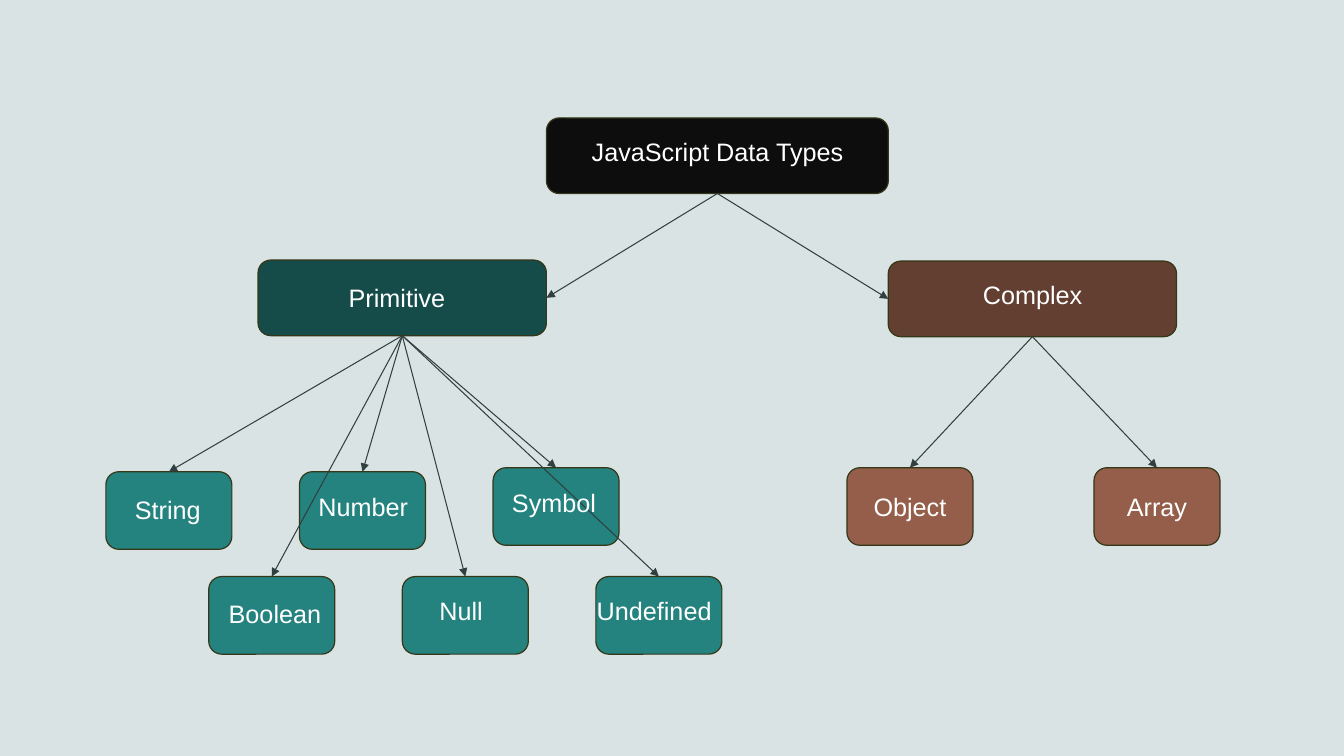
from lxml.etree import SubElement
from pptx import Presentation
from pptx.dml.color import RGBColor
from pptx.enum.shapes import MSO_CONNECTOR, MSO_SHAPE
from pptx.enum.text import MSO_ANCHOR, MSO_AUTO_SIZE, PP_ALIGN
from pptx.oxml.ns import qn
from pptx.util import Inches, Pt

TOP, LEFT, BOTTOM, RIGHT = range(4)


def set_color(color_format, hex_color):
    color_format.fore_color.rgb = RGBColor.from_string(hex_color)


def add_label(paragraph, text):
    run = paragraph.add_run()
    run.text = text
    run.font.name = "Arial"
    run.font.size = Pt(18)
    run.font.fill.solid()
    set_color(run.font.fill, "FFFFFF")


presentation = Presentation()
presentation.slide_width = Inches(13.33)
presentation.slide_height = Inches(7.5)
slide = presentation.slides.add_slide(presentation.slide_layouts[6])
slide.background.fill.solid()
set_color(slide.background.fill, "DAE3E3")

# Boxes: name, left, top, width, height, fill
boxes = [
    ("JavaScript Data Types", 5.42, 1.17, 3.39, 0.75, "0D0D0D"),
    ("Primitive", 2.56, 2.58, 2.86, 0.75, "154C4A"),
    ("Complex", 8.81, 2.59, 2.86, 0.75, "633F31"),
]
primitive_types = ["String", "Boolean", "Number", "Null", "Symbol", "Undefined"]
primitive_tops = [4.68, 5.72, 4.68, 5.72, 4.64, 5.72]
for index, (name, top) in enumerate(zip(primitive_types, primitive_tops)):
    column, row = divmod(index, 2)
    left = 1.05 + 1.92 * column + 1.02 * row
    boxes.append((name, left, top, 1.25, 0.77, "24827F"))
complex_types = ["Object", "Array"]
for index, name in enumerate(complex_types):
    boxes.append((name, 8.4 + 2.45 * index, 4.64, 1.25, 0.77, "945E4A"))

nodes = {}
for name, left, top, width, height, fill in boxes:
    box = slide.shapes.add_shape(
        MSO_SHAPE.ROUNDED_RECTANGLE,
        Inches(left), Inches(top), Inches(width), Inches(height))
    box.shadow.inherit = False
    box.fill.solid()
    set_color(box.fill, fill)
    box.line.fill.solid()
    set_color(box.line.fill, "343718")
    box.line.width = Pt(0.85)
    nodes[name] = box

for name in complex_types:
    text_frame = nodes[name].text_frame
    text_frame.vertical_anchor = MSO_ANCHOR.MIDDLE
    text_frame.paragraphs[0].alignment = PP_ALIGN.CENTER
    add_label(text_frame.paragraphs[0], name)

# Arrows: parent, child, side of the child that is reached
arrows = [
    ("JavaScript Data Types", "Primitive", RIGHT),
    ("JavaScript Data Types", "Complex", LEFT),
]
arrows += [("Primitive", name, TOP) for name in primitive_types]
arrows += [("Complex", name, TOP) for name in complex_types]
for parent, child, side in arrows:
    arrow = slide.shapes.add_connector(MSO_CONNECTOR.STRAIGHT, 0, 0, 0, 0)
    arrow.begin_connect(nodes[parent], BOTTOM)
    arrow.end_connect(nodes[child], side)
    arrow.line.fill.solid()
    set_color(arrow.line.fill, "303F3F")
    arrow.line.width = Pt(0.75)
    properties = arrow._element.spPr
    SubElement(properties.find(qn("a:ln")), qn("a:tailEnd"), type="triangle")
    SubElement(properties, qn("a:effectLst"))

# Labels that lie above the arrows: text, left, top, width
labels = [
    ("JavaScript Data Types", 5.77, 1.3, 2.78),
    ("Primitive", 3.36, 2.75, 1.25),
    ("Complex", 9.65, 2.72, 1.3),
    ("String", 1.24, 4.85, 1.2),
    ("Boolean", 2.17, 5.89, 1.2),
    ("Number", 3.06, 4.83, 1.2),
    ("Null", 4.26, 5.86, 1.2),
    ("Symbol", 4.98, 4.79, 1.2),
    ("Undefined", 5.82, 5.86, 1.43),
]
for text, left, top, width in labels:
    text_box = slide.shapes.add_textbox(
        Inches(left), Inches(top), Inches(width), Inches(0.4))
    text_box.text_frame.word_wrap = True
    text_box.text_frame.auto_size = MSO_AUTO_SIZE.SHAPE_TO_FIT_TEXT
    add_label(text_box.text_frame.paragraphs[0], text)

presentation.save("out.pptx")
